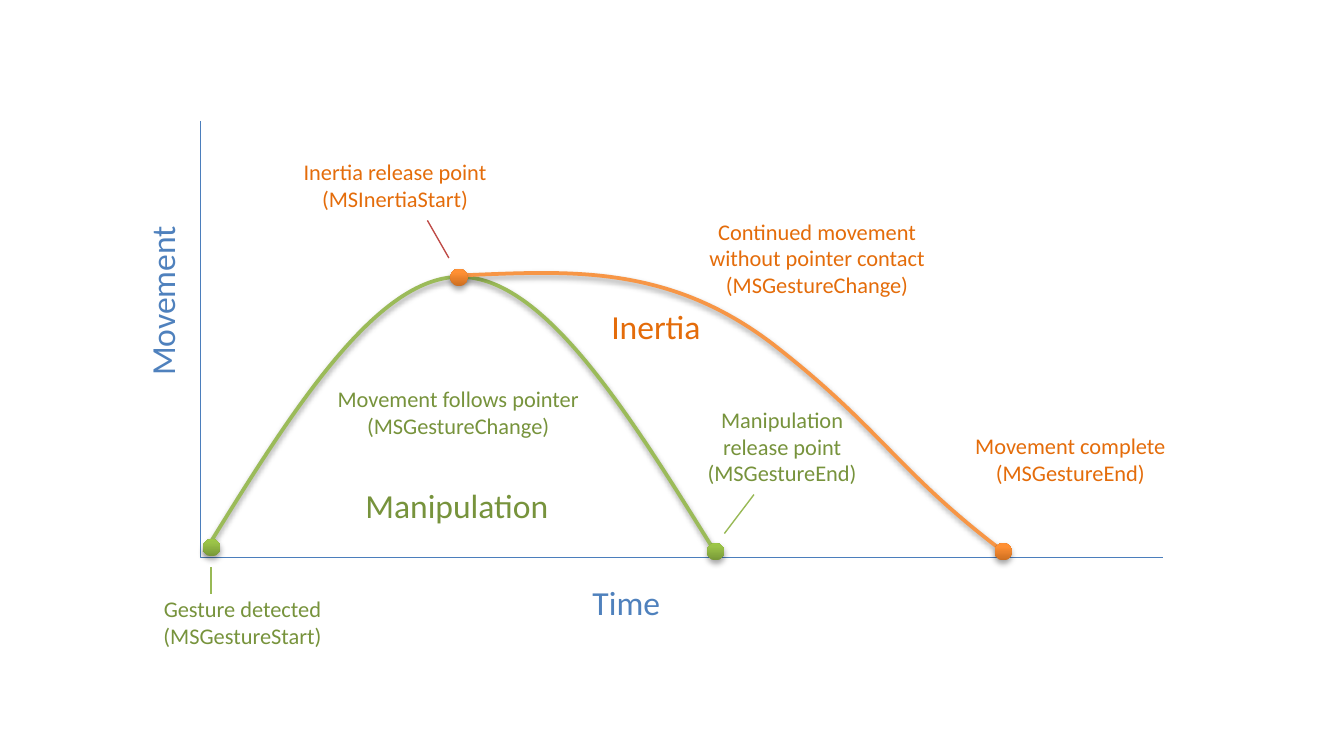
from collections import namedtuple

from lxml import etree
from pptx import Presentation
from pptx.dml.color import RGBColor
from pptx.enum.shapes import MSO_CONNECTOR as Connector, MSO_SHAPE as Shape
from pptx.enum.text import MSO_AUTO_SIZE as AutoSize, PP_ALIGN as Align
from pptx.oxml import parse_xml
from pptx.oxml.ns import nsdecls, qn
from pptx.util import Inches, Pt

Box = namedtuple("Box", "left top width height")
Phase = namedtuple("Phase", "curve text leader gradient points dots title notes")

FONT = "Calibri"
BLUE = "4F81BD"
DOT_SIZE = 0.13

MANIPULATION = Phase(
    curve="9BBB59", text="77933C", leader="98B955",
    gradient=[(0, "779737"), (80, "9BC348"), (100, "9DC746")],
    points=[(0.03, 3.21), (0.66, 2.19), (1.3, 1.16), (1.93, 1.16),
            (2.56, 1.16), (3.19, 2.18), (3.82, 3.19)],
    dots=[(0.02, 3.11), (3.77, 3.14)],
    title=("Manipulation", Box(1.13, 2.66, 1.58, 0.4)),
    notes=[
        ("Movement follows pointer\n(MSGestureChange)", Box(0.91, 1.92, 2.02, 0.5), None),
        ("Manipulation\vrelease point\n(MSGestureEnd)", Box(3.67, 2.07, 1.32, 0.71),
         ((4.12, 2.78), (3.9, 3.07))),
        ("Gesture detected\n(MSGestureStart)", Box(-0.38, 3.48, 1.39, 0.5),
         ((0.08, 3.52), (0.08, 3.32))),
    ],
)
INERTIA = Phase(
    curve="F79646", text="E46C0A", leader="BF4C48",
    gradient=[(0, "CC6E20"), (80, "FF9034"), (100, "FF9136")],
    points=[(1.92, 1.15), (2.71, 1.12), (3.46, 1.05), (4.26, 1.66),
            (5.06, 2.28), (5.19, 2.61), (5.97, 3.2)],
    dots=[(1.86, 1.1), (5.91, 3.14)],
    title=("Inertia", Box(2.96, 1.33, 0.88, 0.4)),
    notes=[
        ("Inertia release point\v(MSInertiaStart)", Box(0.66, 0.23, 1.58, 0.5),
         ((1.69, 0.74), (1.85, 1.02))),
        ("Continued movement\vwithout pointer contact\v(MSGestureChange)",
         Box(3.68, 0.67, 1.82, 0.71), None),
        ("Movement complete\n(MSGestureEnd)", Box(5.66, 2.27, 1.63, 0.5), None),
    ],
)


def rgb(value):
    """Return the colour for a hex string."""
    return RGBColor.from_string(value)


def add_shadow(shape, distance, opacity):
    """Give a shape a soft shadow falling straight down."""
    shape.shadow.inherit = False
    effects = shape._element.spPr.find(qn("a:effectLst"))
    effects.append(parse_xml(
        f'<a:outerShdw {nsdecls("a")} blurRad="{Pt(3.1)}" dist="{Pt(distance)}" '
        f'dir="5400000" rotWithShape="0"><a:srgbClr val="000000">'
        f'<a:alpha val="{opacity * 1000}"/></a:srgbClr></a:outerShdw>'))


def add_outline(slide, box, points, color, width):
    """Draw an open unfilled outline through points of the box."""
    places = [(Inches(box.left + x), Inches(box.top + y)) for x, y in points]
    builder = slide.shapes.build_freeform(*places[0])
    builder.add_line_segments(places[1:], close=False)
    outline = builder.convert_to_shape()
    outline.fill.background()
    outline.line.color.rgb = rgb(color)
    outline.line.width = Pt(width)
    outline.shadow.inherit = False
    return outline


def add_curve(slide, box, points, color):
    """Draw a shadowed chain of cubic curves from its control points."""
    curve = add_outline(slide, box, points, color, 2)
    segments = list(curve._element.iter(qn("a:lnTo")))
    for start in range(0, len(segments), 3):
        bezier = etree.Element(qn("a:cubicBezTo"))
        segments[start].addprevious(bezier)
        for segment in segments[start:start + 3]:
            bezier.append(segment[0])
            segment.getparent().remove(segment)
    add_shadow(curve, 1.6, 38)


def add_dot(slide, box, place, gradient):
    """Place a gradient dot marking an event."""
    x, y = place
    dot = slide.shapes.add_shape(Shape.OVAL, Inches(box.left + x), Inches(box.top + y),
                                 Inches(DOT_SIZE), Inches(DOT_SIZE))
    dot.line.fill.background()
    dot.fill.gradient()
    fill = dot._element.spPr.find(qn("a:gradFill"))
    stops = "".join(f'<a:gs pos="{position * 1000}"><a:srgbClr val="{color}"/></a:gs>'
                    for position, color in gradient)
    fill.getparent().replace(fill, parse_xml(
        f'<a:gradFill {nsdecls("a")} rotWithShape="1"><a:gsLst>{stops}</a:gsLst>'
        f'<a:lin ang="16200000" scaled="0"/></a:gradFill>'))
    add_shadow(dot, 1.8, 35)


def add_leader(slide, box, ends, color):
    """Draw a thin line from a note towards its dot."""
    (x1, y1), (x2, y2) = ends
    leader = slide.shapes.add_connector(
        Connector.STRAIGHT, Inches(box.left + x1), Inches(box.top + y1),
        Inches(box.left + x2), Inches(box.top + y2))
    leader.line.color.rgb = rgb(color)
    leader.line.width = Pt(0.75)
    etree.SubElement(leader._element.spPr, qn("a:effectLst"))


def add_label(slide, box, text, area, color, size=18, align=Align.LEFT, rotation=0):
    """Write an unwrapped label in an area of the box."""
    label = slide.shapes.add_textbox(Inches(box.left + area.left), Inches(box.top + area.top),
                                     Inches(area.width), Inches(area.height))
    label.rotation = rotation
    frame = label.text_frame
    frame.text = text
    frame.word_wrap = False
    frame.auto_size = AutoSize.SHAPE_TO_FIT_TEXT
    for paragraph in frame.paragraphs:
        paragraph.alignment = align
        for run in paragraph.runs:
            run.font.name = FONT
            run.font.size = Pt(size)
            run.font.color.rgb = rgb(color)


def draw_axes(slide, box):
    """Draw both axes along the box with their titles."""
    corners = [(0, 0), (0, box.height), (box.width, box.height)]
    add_outline(slide, box, corners, "4B7EBC", 0.75)
    add_label(slide, box, "Time", Box(2.82, 3.38, 0.71, 0.4), BLUE)
    add_label(slide, box, "Movement", Box(-0.95, 1.13, 1.33, 0.4), BLUE, rotation=270)


def draw_phase(slide, box, phase):
    """Draw one phase: its curve, dots, title and notes."""
    add_curve(slide, box, phase.points, phase.curve)
    for place in phase.dots:
        add_dot(slide, box, place, phase.gradient)
    add_label(slide, box, *phase.title, phase.text)
    for text, area, ends in phase.notes:
        add_label(slide, box, text, area, phase.text, 12, Align.CENTER)
        if ends:
            add_leader(slide, box, ends, phase.leader)


def main():
    """Build and save the gesture diagram."""
    presentation = Presentation()
    presentation.slide_width = Inches(10)
    presentation.slide_height = Inches(10 * 9 / 16)
    slide = presentation.slides.add_slide(presentation.slide_layouts[6])
    plot = Box(1.49, 0.9, 7.16, 3.25)
    draw_axes(slide, plot)
    for phase in (MANIPULATION, INERTIA):
        draw_phase(slide, plot, phase)
    presentation.save("out.pptx")


if __name__ == "__main__":
    main()
